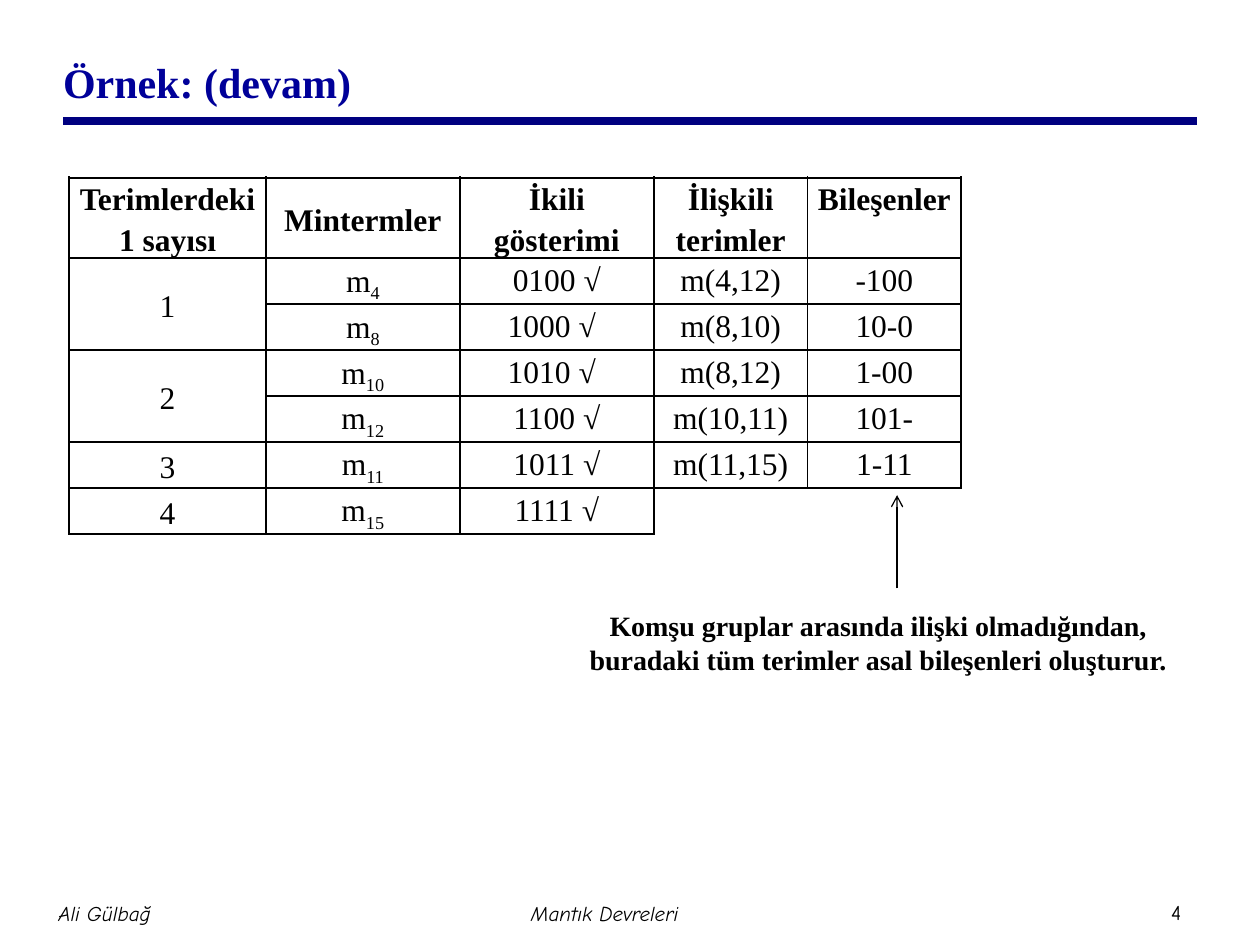
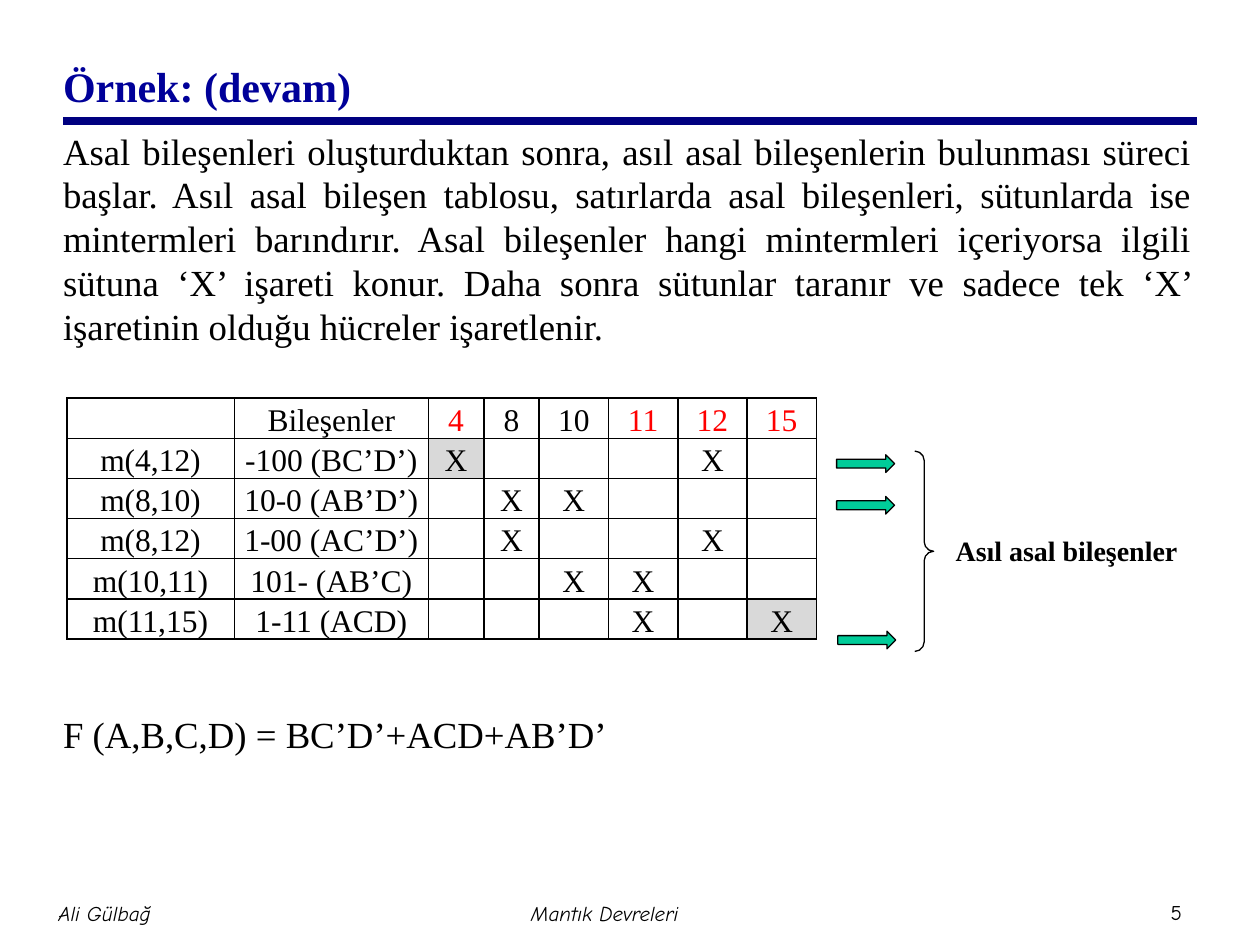
from collections import Counter
from dataclasses import dataclass

import lxml.etree
import pptx
import pptx.dml.color
import pptx.enum.shapes
import pptx.enum.text
import pptx.oxml.ns
import pptx.util

Inches, Pt = pptx.util.Inches, pptx.util.Pt
RGBColor = pptx.dml.color.RGBColor
Align = pptx.enum.text.PP_ALIGN
Anchor = pptx.enum.text.MSO_ANCHOR
Shape = pptx.enum.shapes.MSO_SHAPE
qn = pptx.oxml.ns.qn


@dataclass(frozen=True)
class Theme:
    serif: str = "Times New Roman"
    casual: str = "Comic Neue"
    ink: str = "000000"
    title: str = "000099"
    rule: str = "000080"
    highlight: str = "FF0000"
    shade: str = "D9D9D9"
    arrow: str = "00CC99"
    title_size: int = 24
    body_size: int = 21
    table_size: int = 18
    note_size: int = 16
    footer_size: int = 12
    thin: float = 1
    thick: float = 1.5
    outline: float = 0.75


theme = Theme()


def format_text(text_frame, size, align, color=theme.ink, font=theme.serif, bold=False, italic=False):
    for paragraph in text_frame.paragraphs:
        paragraph.alignment = align
        for run in paragraph.runs:
            run.font.name = font
            run.font.size = Pt(size)
            run.font.bold = bold
            run.font.italic = italic
            run.font.color.rgb = RGBColor.from_string(color)


def fill_cell(cell, text, borders, color=theme.ink, bold=False, fill=None):
    """Write a cell; "_" starts a subscript, borders are left, right, top, bottom widths (0 for none)."""
    base, _, subscript = text.partition("_")
    cell.text_frame.text = base
    if subscript:
        run = cell.text_frame.paragraphs[0].add_run()
        run.text = subscript
        run._r.get_or_add_rPr().set("baseline", "-25000")
    format_text(cell.text_frame, theme.table_size, Align.CENTER, color, bold=bold)
    for paragraph in cell.text_frame.paragraphs:
        paragraph.line_spacing = 1.15
    cell.margin_left = cell.margin_right = Inches(0.07)
    cell.margin_top = cell.margin_bottom = 0
    properties = cell._tc.get_or_add_tcPr()
    for side, width in zip(("a:lnL", "a:lnR", "a:lnT", "a:lnB"), borders):
        line = lxml.etree.SubElement(properties, qn(side), w=str(Pt(width)))
        if width:
            solid = lxml.etree.SubElement(line, qn("a:solidFill"))
            lxml.etree.SubElement(solid, qn("a:srgbClr"), val=theme.ink)
        else:
            lxml.etree.SubElement(line, qn("a:noFill"))
    if fill:
        cell.fill.solid()
        cell.fill.fore_color.rgb = RGBColor.from_string(fill)
    else:
        cell.fill.background()


presentation = pptx.Presentation()
presentation.slide_width = Inches(10)
presentation.slide_height = Inches(7.5)
grouping_slide = presentation.slides.add_slide(presentation.slide_layouts[5])
chart_slide = presentation.slides.add_slide(presentation.slide_layouts[1])

# Shared title, rule and footers; captions hold slide, box, text, size, font, bold, italic
captions = []
lines = []
for number, (slide, title_top) in enumerate(((grouping_slide, 0.22), (chart_slide, 0.25)), start=4):
    title = slide.shapes.title
    title.left, title.top, title.width, title.height = map(Inches, (0.4, title_top, 8.5, 0.86))
    title.text_frame.text = "Örnek: (devam)"
    title.text_frame.vertical_anchor = Anchor.MIDDLE
    format_text(title.text_frame, theme.title_size, Align.LEFT, theme.title, bold=True)
    lines.append((slide, (0.5, 0.96, 9.5, 0.96), theme.rule, 4.5, None))
    for box, text, italic in (
        ((0, 7, 1.66, 0.5), "Ali Gülbağ", True),
        ((3.01, 7, 3.58, 0.5), "Mantık Devreleri", True),
        ((9.1, 7.09, 0.47, 0.3), str(number), False),
    ):
        captions.append((slide, box, text, theme.footer_size, theme.casual, False, italic))

# Grouping table
grouping_rows = (
    ("Terimlerdeki\n1 sayısı", "Mintermler", "İkili gösterimi", "İlişkili terimler", "Bileşenler"),
    ("1", "m_4", "0100 √", "m(4,12)", "-100"),
    ("", "m_8", "1000 √", "m(8,10)", "10-0"),
    ("2", "m_10", "1010 √", "m(8,12)", "1-00"),
    ("", "m_12", "1100 √", "m(10,11)", "101-"),
    ("3", "m_11", "1011 √", "m(11,15)", "1-11"),
    ("4", "m_15", "1111 √", "", ""),
)
thin_below = {(1, 1), (1, 2), (1, 3), (1, 4), (2, 3), (2, 4), (3, 1), (3, 2)}
thick_edges = (0, 3, 5)
table = grouping_slide.shapes.add_table(
    7, 5, Inches(0.55), Inches(1.41), Inches(7.08), Inches(2.82)).table
table.first_row = table.horz_banding = False
for column, width in zip(table.columns, (1.56, 1.54, 1.54, 1.22, 1.22)):
    column.width = Inches(width)
for row_index, texts in enumerate(grouping_rows):
    table.rows[row_index].height = Inches(2.19 / 6 if row_index else 0.63)
    for column_index, text in enumerate(texts):
        outside = row_index == 6 and column_index > 2
        left, right = (theme.thick if edge in thick_edges else theme.thin
                       for edge in (column_index, column_index + 1))
        top, bottom = (theme.thin if (row, column_index) in thin_below else theme.thick
                       for row in (row_index - 1, row_index))
        if outside:
            left, right, bottom = (theme.thick if column_index == 3 else 0), 0, 0
        cell = table.cell(row_index, column_index)
        fill_cell(cell, text, (left, right, top, bottom), bold=row_index == 0)
        if column_index == 1 or (column_index == 0 and row_index):
            cell.vertical_anchor = Anchor.MIDDLE
for row_index in (1, 3):
    table.cell(row_index, 0).merge(table.cell(row_index + 1, 0))
for row_index in (2, 3):
    cell = table.cell(row_index, 2)
    cell.text_frame.paragraphs[0].alignment = Align.LEFT
    cell.margin_left = Inches(0.38)

lines.append((grouping_slide, (7.12, 4.67, 7.12, 3.93), theme.ink, theme.outline, "arrow"))
captions.append((
    grouping_slide, (4.47, 4.78, 5, 0.64),
    "Komşu gruplar arasında ilişki olmadığından, buradaki tüm terimler asal bileşenleri oluşturur.",
    theme.note_size, theme.serif, True, False))

# Explanation and resulting function
body = chart_slide.placeholders[1]
body.left, body.top, body.width, body.height = map(Inches, (0.4, 0.97, 9.16, 6.04))
body.text_frame.text = (
    "Asal bileşenleri oluşturduktan sonra, asıl asal bileşenlerin bulunması süreci başlar. "
    "Asıl asal bileşen tablosu, satırlarda asal bileşenleri, sütunlarda ise mintermleri barındırır. "
    "Asal bileşenler hangi mintermleri içeriyorsa ilgili sütuna ‘X’ işareti konur. "
    "Daha sonra sütunlar taranır ve sadece tek ‘X’ işaretinin olduğu hücreler işaretlenir.\n"
    "F (A,B,C,D) = BC’D’+ACD+AB’D’")
body.text_frame.auto_size = pptx.enum.text.MSO_AUTO_SIZE.NONE
for paragraph, space_before in zip(body.text_frame.paragraphs, (0, 208)):
    properties = paragraph._p.get_or_add_pPr()
    properties.set("marL", "0")
    properties.set("indent", "0")
    lxml.etree.SubElement(properties, qn("a:buNone"))
    paragraph.line_spacing = Pt(25.1)
    paragraph.space_before = Pt(space_before)
format_text(body.text_frame, theme.body_size, Align.JUSTIFY)

# Prime implicant table: a minterm covered only once is shaded
minterms = (4, 8, 10, 11, 12, 15)
red_minterms = (4, 11, 12, 15)
implicants = (
    ((4, 12), "-100 (BC’D’)"),
    ((8, 10), "10-0 (AB’D’)"),
    ((8, 12), "1-00 (AC’D’)"),
    ((10, 11), "101- (AB’C)"),
    ((11, 15), "1-11 (ACD)"),
)
cover_count = Counter(minterm for covered, _ in implicants for minterm in covered)
table = chart_slide.shapes.add_table(
    6, 8, Inches(0.53), Inches(3.16), Inches(5.95), Inches(1.9)).table
table.first_row = table.horz_banding = False
for column, width in zip(table.columns, (1.33, 1.54, 0.44, 0.44, 0.55, 0.55, 0.55, 0.55)):
    column.width = Inches(width)
for row in table.rows:
    row.height = Inches(1.9 / 6)
grid = [theme.thin] * 4
fill_cell(table.cell(0, 0), "", grid)
fill_cell(table.cell(0, 1), "Bileşenler", grid)
for column_index, minterm in enumerate(minterms, start=2):
    color = theme.highlight if minterm in red_minterms else theme.ink
    fill_cell(table.cell(0, column_index), str(minterm), grid, color)
for row_index, (covered, implicant) in enumerate(implicants, start=1):
    fill_cell(table.cell(row_index, 0), f"m({covered[0]},{covered[1]})", grid)
    fill_cell(table.cell(row_index, 1), implicant, grid)
    for column_index, minterm in enumerate(minterms, start=2):
        marked = minterm in covered
        fill = theme.shade if marked and cover_count[minterm] == 1 else None
        fill_cell(table.cell(row_index, column_index), "X" if marked else "", grid, fill=fill)

# Arrows and brace pointing out the essential implicants
for preset, box, adjustments, fill in (
    (Shape.RIGHT_ARROW, (6.64, 3.61, 0.46, 0.14), (0.5, 0.5), theme.arrow),
    (Shape.RIGHT_ARROW, (6.64, 3.94, 0.46, 0.14), (0.5, 0.5), theme.arrow),
    (Shape.RIGHT_ARROW, (6.65, 5.01, 0.46, 0.14), (0.5, 0.5), theme.arrow),
    (Shape.RIGHT_BRACE, (7.26, 3.58, 0.15, 1.59), (0.5, 0.5), None),
):
    shape = chart_slide.shapes.add_shape(preset, *map(Inches, box))
    shape.shadow.inherit = False
    for index, adjustment in enumerate(adjustments):
        shape.adjustments[index] = adjustment
    if fill:
        shape.fill.solid()
        shape.fill.fore_color.rgb = RGBColor.from_string(fill)
    else:
        shape.fill.background()
    shape.line.color.rgb = RGBColor.from_string(theme.ink)
    shape.line.width = Pt(theme.outline)
captions.append((chart_slide, (7.47, 4.18, 1.99, 0.37), "Asıl asal bileşenler",
                 theme.note_size, theme.serif, True, False))

for slide, ends, color, width, head in lines:
    connector = slide.shapes.add_connector(
        pptx.enum.shapes.MSO_CONNECTOR.STRAIGHT, *map(Inches, ends))
    connector.line.color.rgb = RGBColor.from_string(color)
    connector.line.width = Pt(width)
    properties = connector._element.spPr
    if head:
        lxml.etree.SubElement(properties.find(qn("a:ln")), qn("a:tailEnd"), type=head)
    lxml.etree.SubElement(properties, qn("a:effectLst"))

for slide, box, text, size, font, bold, italic in captions:
    text_frame = slide.shapes.add_textbox(*map(Inches, box)).text_frame
    text_frame.text = text
    text_frame.word_wrap = True
    text_frame.vertical_anchor = Anchor.MIDDLE
    text_frame.margin_left = text_frame.margin_right = Inches(0.05)
    format_text(text_frame, size, Align.CENTER, font=font, bold=bold, italic=italic)

presentation.save("out.pptx")
